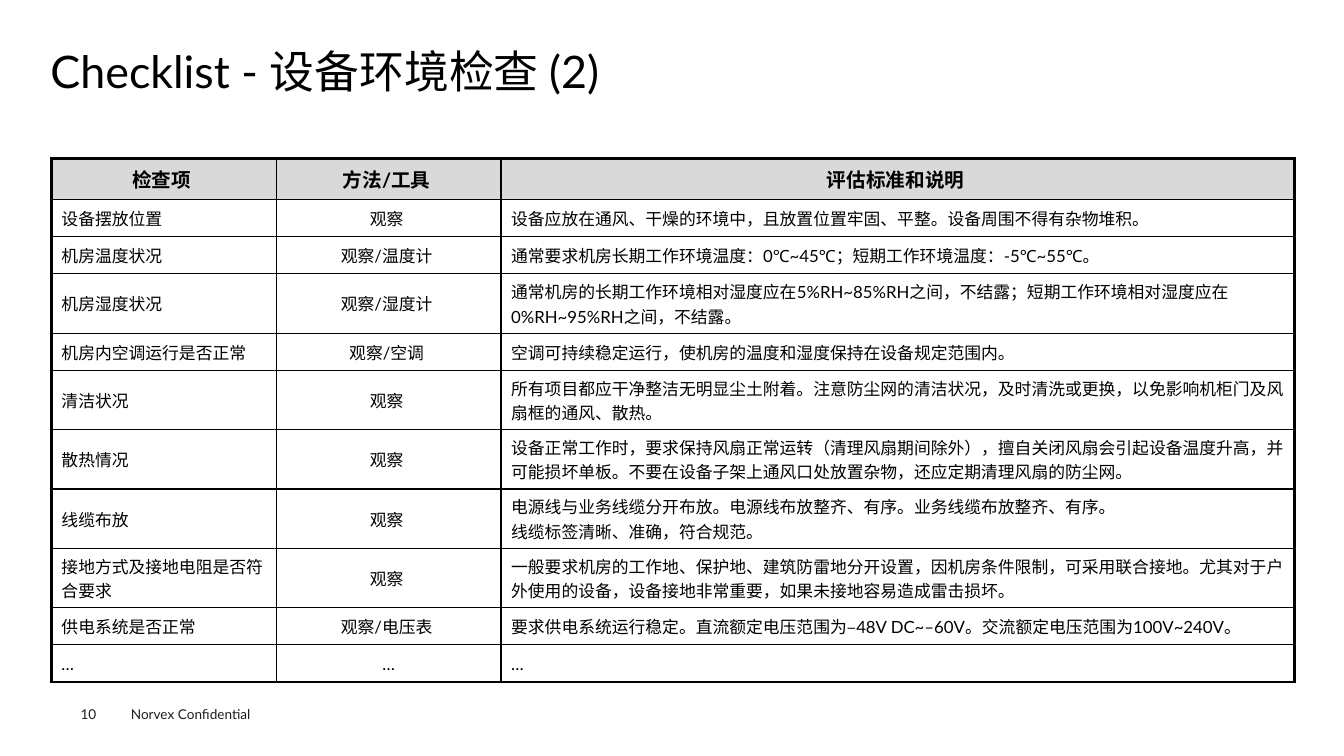
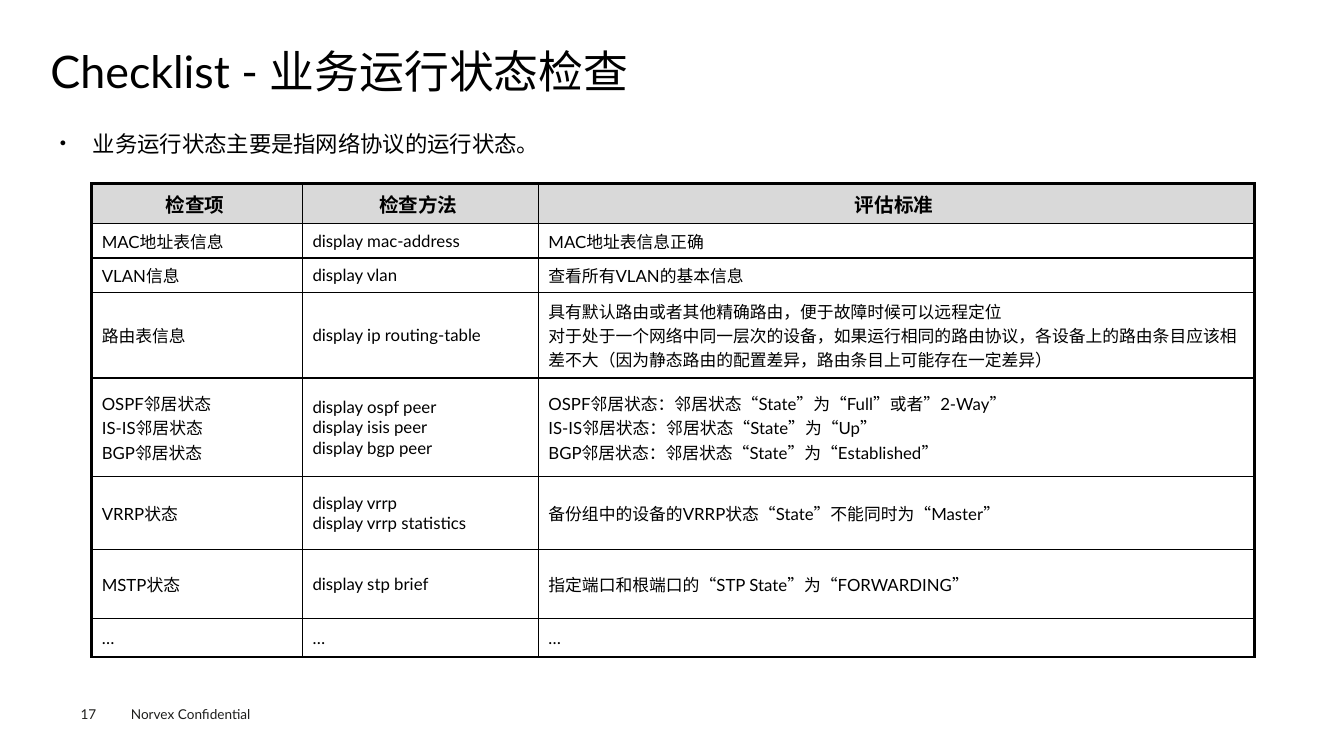
from dataclasses import dataclass

import lxml.etree
import pptx
import pptx.dml.color
import pptx.enum.text
import pptx.oxml
import pptx.oxml.ns
import pptx.util

ALIGN = pptx.enum.text.PP_ALIGN
ANCHOR = pptx.enum.text.MSO_ANCHOR


@dataclass(frozen=True)
class Theme:
    font: str = "Lato"
    ink: str = "000000"
    muted: str = "1D1D1B"
    paper: str = "FFFFFF"
    header_fill: str = "D9D9D9"
    title_size: float = 32
    body_size: float = 16
    header_size: float = 14
    cell_size: float = 12
    footer_size: float = 9.7
    outer_line: float = 2.25
    inner_line: float = 1


@dataclass(frozen=True)
class Box:
    """A region of the slide, in inches."""
    left: float
    top: float
    width: float
    height: float

    def lengths(self):
        return [pptx.util.Inches(value) for value in
                (self.left, self.top, self.width, self.height)]


THEME = Theme()
SLIDE_WIDTH, SLIDE_HEIGHT = 13.33, 7.5
TITLE_BOX = Box(0.5, 0.47, 12.35, 0.53)
BODY_BOX = Box(0.5, 1.14, 12.35, 0.6)
FOOTER_BOX = Box(0.8, 6.95, 2, 0.27)
FOOTER_TEXT = "Norvex Confidential"
HEADER_ROW, SINGLE_ROW, DOUBLE_ROW = 0.41, 0.37, 0.59

ENVIRONMENT_ROWS = [
    ("检查项", "方法/工具", "评估标准和说明"),
    ("设备摆放位置", "观察",
     "设备应放在通风、干燥的环境中，且放置位置牢固、平整。设备周围不得有杂物堆积。"),
    ("机房温度状况", "观察/温度计",
     "通常要求机房长期工作环境温度：0℃~45℃；短期工作环境温度：-5℃~55℃。"),
    ("机房湿度状况", "观察/湿度计",
     "通常机房的长期工作环境相对湿度应在5%RH~85%RH之间，不结露；"
     "短期工作环境相对湿度应在0%RH~95%RH之间，不结露。"),
    ("机房内空调运行是否正常", "观察/空调",
     "空调可持续稳定运行，使机房的温度和湿度保持在设备规定范围内。"),
    ("清洁状况", "观察",
     "所有项目都应干净整洁无明显尘土附着。注意防尘网的清洁状况，"
     "及时清洗或更换，以免影响机柜门及风扇框的通风、散热。"),
    ("散热情况", "观察",
     "设备正常工作时，要求保持风扇正常运转（清理风扇期间除外），"
     "擅自关闭风扇会引起设备温度升高，并可能损坏单板。"
     "不要在设备子架上通风口处放置杂物，还应定期清理风扇的防尘网。"),
    ("线缆布放", "观察",
     "电源线与业务线缆分开布放。电源线布放整齐、有序。业务线缆布放整齐、有序。\n"
     "线缆标签清晰、准确，符合规范。"),
    ("接地方式及接地电阻是否符合要求", "观察",
     "一般要求机房的工作地、保护地、建筑防雷地分开设置，因机房条件限制，"
     "可采用联合接地。尤其对于户外使用的设备，设备接地非常重要，"
     "如果未接地容易造成雷击损坏。"),
    ("供电系统是否正常", "观察/电压表",
     "要求供电系统运行稳定。直流额定电压范围为–48V DC~–60V。"
     "交流额定电压范围为100V~240V。"),
    ("…", "…", "…"),
]

SERVICE_ROWS = [
    ("检查项", "检查方法", "评估标准"),
    ("MAC地址表信息", "display mac-address", "MAC地址表信息正确"),
    ("VLAN信息", "display vlan", "查看所有VLAN的基本信息"),
    ("路由表信息", "display ip routing-table",
     "具有默认路由或者其他精确路由，便于故障时候可以远程定位\n"
     "对于处于一个网络中同一层次的设备，如果运行相同的路由协议，"
     "各设备上的路由条目应该相差不大"
     "（因为静态路由的配置差异，路由条目上可能存在一定差异）"),
    ("OSPF邻居状态\nIS-IS邻居状态\nBGP邻居状态",
     "display ospf peer\ndisplay isis peer\ndisplay bgp peer",
     "OSPF邻居状态：邻居状态“State”为“Full”或者”2-Way”\n"
     "IS-IS邻居状态：邻居状态“State”为“Up”\n"
     "BGP邻居状态：邻居状态“State”为“Established”"),
    ("VRRP状态", "display vrrp\ndisplay vrrp statistics",
     "备份组中的设备的VRRP状态“State”不能同时为“Master”"),
    ("MSTP状态", "display stp brief",
     "指定端口和根端口的“STP State”为“FORWARDING”"),
    ("…", "…", "…"),
]


def color(value):
    return pptx.dml.color.RGBColor.from_string(value)


def style_paragraphs(frame, size, ink=THEME.ink, align=ALIGN.LEFT, bold=False):
    for para in frame.paragraphs:
        para.alignment = align
        para.font.name = THEME.font
        para.font.size = pptx.util.Pt(size)
        para.font.bold = bold
        para.font.color.rgb = color(ink)


def set_margins(target, horizontal=0, vertical=0):
    target.margin_left = target.margin_right = pptx.util.Inches(horizontal)
    target.margin_top = target.margin_bottom = pptx.util.Inches(vertical)


def place(shape, box):
    shape.left, shape.top, shape.width, shape.height = box.lengths()


def add_title(page, box, text):
    title = page.shapes.title
    place(title, box)
    frame = title.text_frame
    frame.text = text
    frame.auto_size = pptx.enum.text.MSO_AUTO_SIZE.NONE
    frame.vertical_anchor = ANCHOR.MIDDLE
    set_margins(frame)
    frame.paragraphs[0].line_spacing = 0.9
    style_paragraphs(frame, THEME.title_size)


def add_bullet_line(page, box, text):
    body = page.placeholders[1]
    place(body, box)
    frame = body.text_frame
    frame.text = text
    frame.auto_size = pptx.enum.text.MSO_AUTO_SIZE.NONE
    frame.vertical_anchor = ANCHOR.TOP
    set_margins(frame, 0.09, 0.04)
    para = frame.paragraphs[0]
    para.line_spacing = 1.4
    para.space_before = pptx.util.Pt(0)
    properties = para._p.get_or_add_pPr()
    indent = pptx.util.Inches(0.33)
    properties.set("marL", str(indent))
    properties.set("indent", str(-indent))
    for tag, name, value in (("a:buSzPct", "val", "50000"),
                             ("a:buChar", "char", "●")):
        lxml.etree.SubElement(properties, pptx.oxml.ns.qn(tag)).set(name, value)
    style_paragraphs(frame, THEME.body_size, align=ALIGN.JUSTIFY)


def add_footer(page, box, number):
    """Put the page number at the left of the box and the notice beside it."""
    number_width = 0.2 * box.width
    parts = (
        (str(number), Box(box.left, box.top, number_width, box.height), 0),
        (FOOTER_TEXT, Box(box.left + number_width, box.top,
                          box.width - number_width, box.height), 0.1),
    )
    for text, part, margin in parts:
        frame = page.shapes.add_textbox(*part.lengths()).text_frame
        frame.word_wrap = True
        frame.vertical_anchor = ANCHOR.MIDDLE
        set_margins(frame, margin)
        frame.text = text
        style_paragraphs(frame, THEME.footer_size, THEME.muted)


def set_border(cell, side, width):
    line = pptx.oxml.parse_xml(
        f'<a:ln{side} {pptx.oxml.ns.nsdecls("a")} w="{pptx.util.Pt(width)}">'
        f'<a:solidFill><a:srgbClr val="{THEME.ink}"/></a:solidFill></a:ln{side}>')
    cell._tc.get_or_add_tcPr().append(line)


def add_checklist(page, box, rows, column_weights, row_weights, centered=()):
    """Draw a ruled table; the weights share out the box's width and height."""
    frame = page.shapes.add_table(len(rows), len(column_weights), *box.lengths())
    table = frame.table
    table.first_row = table.horz_banding = False
    for column, weight in zip(table.columns, column_weights):
        column.width = pptx.util.Inches(box.width * weight / sum(column_weights))
    for row, weight in zip(table.rows, row_weights):
        row.height = pptx.util.Inches(box.height * weight / sum(row_weights))
    last_row, last_column = len(rows) - 1, len(column_weights) - 1
    for r, texts in enumerate(rows):
        for c, text in enumerate(texts):
            cell = table.cell(r, c)
            header = r == 0
            middle = header or c in centered
            for side, outer in (("L", c == 0), ("R", c == last_column),
                                ("T", header), ("B", r == last_row)):
                set_border(cell, side,
                           THEME.outer_line if outer else THEME.inner_line)
            cell.fill.solid()
            cell.fill.fore_color.rgb = color(
                THEME.header_fill if header else THEME.paper)
            cell.vertical_anchor = ANCHOR.MIDDLE
            if middle:
                set_margins(cell, 0.01, 0.01)
                if r != last_row:
                    cell.margin_right = pptx.util.Inches(0.05)
            cell.text = text
            style_paragraphs(cell.text_frame,
                             THEME.header_size if header else THEME.cell_size,
                             align=ALIGN.CENTER if middle else ALIGN.LEFT,
                             bold=header)


def add_page(deck, layout_name, title, number):
    page = deck.slides.add_slide(deck.slide_layouts.get_by_name(layout_name))
    add_title(page, TITLE_BOX, title)
    add_footer(page, FOOTER_BOX, number)
    return page


def add_environment_page(deck):
    page = add_page(deck, "Title Only", "Checklist - 设备环境检查 (2)", 10)
    two_line_rows = (3, 5, 6, 7, 8)
    row_weights = [HEADER_ROW] + [
        DOUBLE_ROW if index in two_line_rows else SINGLE_ROW
        for index in range(1, len(ENVIRONMENT_ROWS))]
    add_checklist(page, Box(0.51, 1.57, 12.33, 5.2), ENVIRONMENT_ROWS,
                  (2.23, 2.23, 7.87), row_weights, centered=(1,))


def add_service_page(deck):
    page = add_page(deck, "Title and Content", "Checklist - 业务运行状态检查", 17)
    add_bullet_line(page, BODY_BOX, "业务运行状态主要是指网络协议的运行状态。")
    add_checklist(page, Box(0.91, 1.82, 11.53, 4.7), SERVICE_ROWS,
                  (2.09, 2.34, 7.1),
                  (0.4, 0.34, 0.34, 0.85, 0.98, 0.72, 0.69, 0.38))


def main():
    deck = pptx.Presentation()
    deck.slide_width = pptx.util.Inches(SLIDE_WIDTH)
    deck.slide_height = pptx.util.Inches(SLIDE_HEIGHT)
    add_environment_page(deck)
    add_service_page(deck)
    deck.save("out.pptx")


if __name__ == "__main__":
    main()
